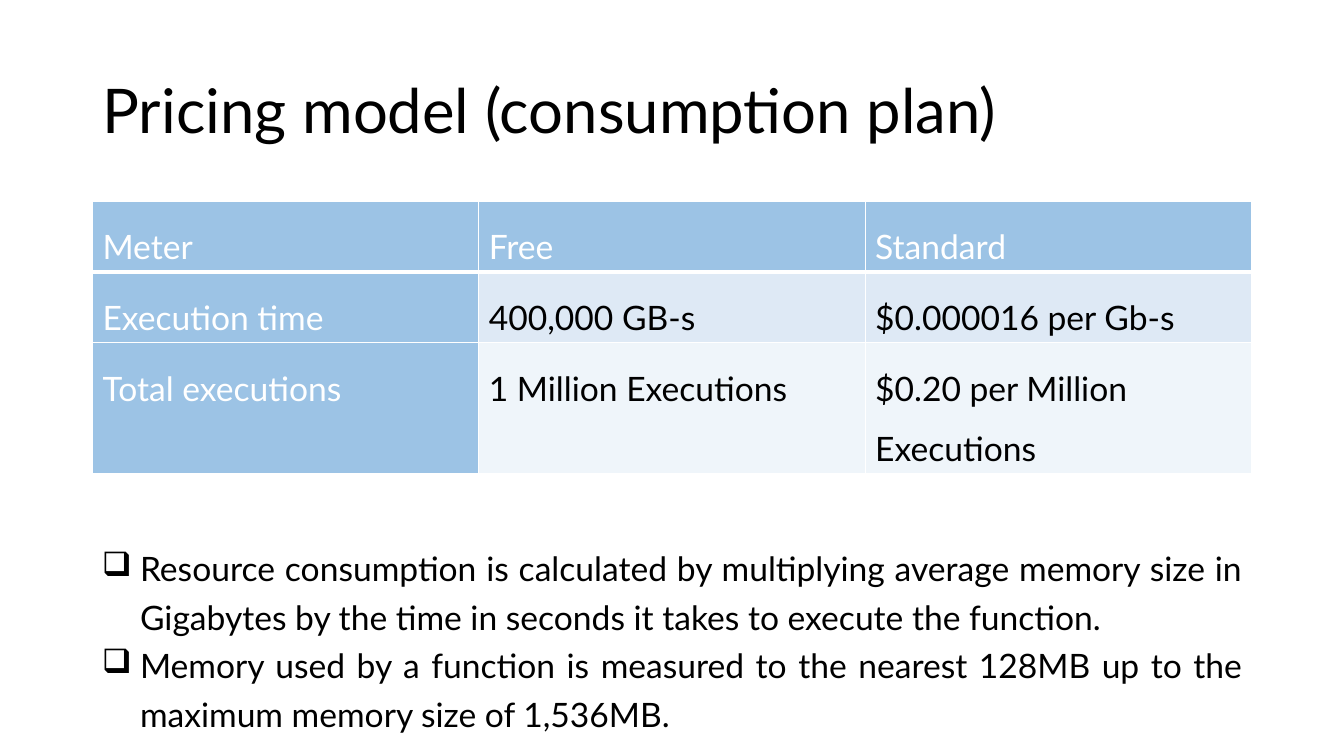
from lxml.etree import SubElement
from pptx import Presentation
from pptx.dml.color import RGBColor
from pptx.enum.text import MSO_ANCHOR, MSO_AUTO_SIZE, PP_ALIGN
from pptx.oxml.ns import qn
from pptx.util import Cm, Pt

COLOURS = {
    "text": "000000",
    "light": "FFFFFF",
    "heading": "9CC3E5",
    "odd_row": "DEE9F5",
    "even_row": "EFF5FA",
}
PRICES = [
    ["Meter", "Free", "Standard"],
    ["Execution time", "400,000 GB-s", "$0.000016 per Gb-s"],
    ["Total executions", "1 Million Executions", "$0.20 per Million Executions"],
]
ROW_HEIGHTS = [1.75, 1.75, 3.3]
NOTES = [
    "Resource consumption is calculated by multiplying average memory size in "
    "Gigabytes by the time in seconds it takes to execute the function.",
    "Memory used by a function is measured to the nearest 128MB up to the "
    "maximum memory size of 1,536MB.",
]
BULLET_INDENT = Cm(0.96)


def format_paragraph(paragraph, size, colour, **layout):
    for name, value in layout.items():
        setattr(paragraph, name, value)
    font_format = {"name": "Lato", "size": Pt(size), "bold": False}
    for name, value in font_format.items():
        setattr(paragraph.font, name, value)
    paragraph.font.color.rgb = RGBColor.from_string(COLOURS[colour])


def add_title(slide, left, top, width, height):
    title = slide.shapes.title
    box = {"left": left, "top": top, "width": width, "height": height}
    for name, value in box.items():
        setattr(title, name, Cm(value))
    frame = title.text_frame
    frame.text = "Pricing model (consumption plan)"
    frame.auto_size = MSO_AUTO_SIZE.NONE
    frame.vertical_anchor = MSO_ANCHOR.MIDDLE
    format_paragraph(frame.paragraphs[0], 44, "text",
                     alignment=PP_ALIGN.LEFT, line_spacing=0.9)


def add_borders(cell, widths):
    properties = cell._tc.get_or_add_tcPr()
    for side, width in widths.items():
        line = SubElement(properties, qn(f"a:ln{side}"), w=str(Pt(width)))
        fill = SubElement(line, qn("a:solidFill"))
        SubElement(fill, qn("a:srgbClr"), val=COLOURS["light"])


def add_price_table(slide, left, top, width):
    table = slide.shapes.add_table(
        len(PRICES), len(PRICES[0]), Cm(left), Cm(top),
        Cm(width), Cm(sum(ROW_HEIGHTS))).table
    for row, height in zip(table.rows, ROW_HEIGHTS):
        row.height = Cm(height)
    for r, values in enumerate(PRICES):
        for c, value in enumerate(values):
            cell = table.cell(r, c)
            is_heading = r == 0 or c == 0
            add_borders(cell, {"L": 1, "R": 1,
                               "T": 3 if r == 1 else 1,
                               "B": 3 if r == 0 else 1})
            band = "odd_row" if r % 2 else "even_row"
            cell.fill.solid()
            cell.fill.fore_color.rgb = RGBColor.from_string(
                COLOURS["heading" if is_heading else band])
            cell.text = value
            format_paragraph(cell.text_frame.paragraphs[0], 24,
                             "light" if is_heading else "text",
                             line_spacing=1.5)


def add_bullet(paragraph):
    properties = paragraph._p.get_or_add_pPr()
    properties.set("marL", str(BULLET_INDENT))
    properties.set("indent", str(-BULLET_INDENT))
    SubElement(properties, qn("a:buChar"), char="❑")


def add_notes_on_billing(slide, left, top, width, height):
    frame = slide.shapes.add_textbox(
        Cm(left), Cm(top), Cm(width), Cm(height)).text_frame
    frame.word_wrap = True
    frame.auto_size = MSO_AUTO_SIZE.SHAPE_TO_FIT_TEXT
    frame.text = "\n".join(NOTES)
    for paragraph in frame.paragraphs:
        add_bullet(paragraph)
        format_paragraph(paragraph, 24, "text",
                         alignment=PP_ALIGN.JUSTIFY, line_spacing=1.2)


def main():
    deck = Presentation()
    deck.slide_width, deck.slide_height = Cm(33.87), Cm(19.05)
    slide = deck.slides.add_slide(deck.slide_layouts[5])
    add_title(slide, 2.33, 1.01, 29.21, 3.68)
    add_price_table(slide, 2.33, 5.08, 29.21)
    add_notes_on_billing(slide, 2.32, 13.49, 29.23, 5.16)
    deck.save("out.pptx")


if __name__ == "__main__":
    main()
